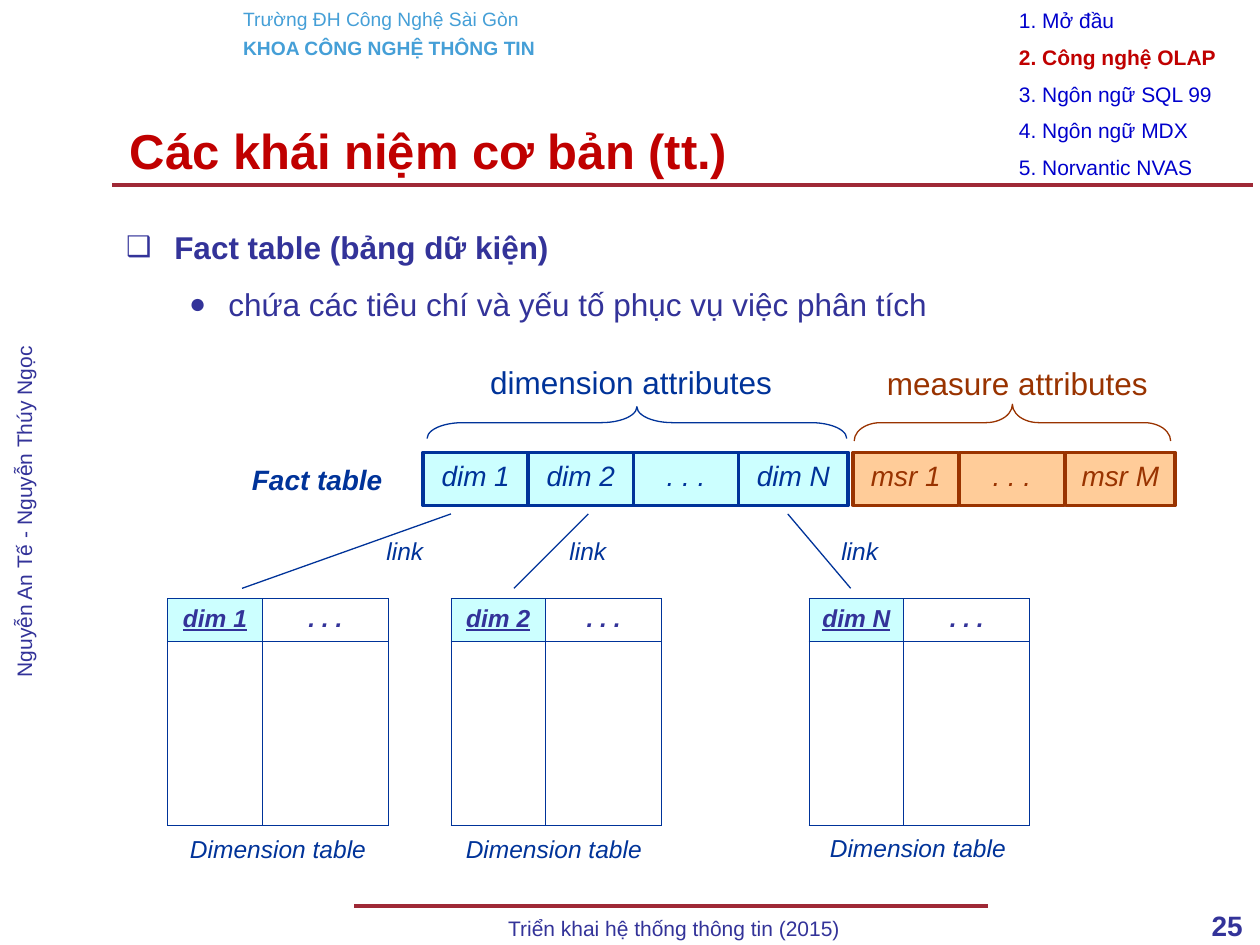
from dataclasses import dataclass

import pptx
import pptx.dml.color
import pptx.enum.shapes
import pptx.enum.text
import pptx.oxml.ns
import pptx.util
from lxml import etree

Cm = pptx.util.Cm
Pt = pptx.util.Pt
Shape = pptx.enum.shapes.MSO_SHAPE
Fit = pptx.enum.text.MSO_AUTO_SIZE
Align = pptx.enum.text.PP_ALIGN
Anchor = pptx.enum.text.MSO_ANCHOR
qn = pptx.oxml.ns.qn


@dataclass(frozen=True)
class Theme:
    font: str = "Arial"
    rule: str = "9F2936"
    school: str = "459FD7"
    ink: str = "333399"
    alert: str = "C00000"
    menu: str = "0000CC"
    dim: str = "003399"
    pale: str = "CCFFFF"
    msr: str = "993300"
    peach: str = "FFCC99"
    tiny: int = 11
    small: int = 12
    label: int = 14
    cell: int = 16
    body: int = 18
    title: int = 28


T = Theme()


def rgb(code):
    return pptx.dml.color.RGBColor.from_string(code)


def style(para, size, color, bold=False, ital=False, under=False, align=Align.LEFT):
    para.alignment = align
    for run in para.runs:
        font = run.font
        font.name, font.size = T.font, Pt(size)
        font.bold, font.italic, font.underline = bold, ital, under
        font.color.rgb = rgb(color)


def place(item, box):
    item.left, item.top, item.width, item.height = map(Cm, box)


def add_text(slide, box, text, size, color, wrap=True, **look):
    item = slide.shapes.add_textbox(*map(Cm, box))
    frame = item.text_frame
    frame.word_wrap = wrap
    frame.auto_size = Fit.NONE
    frame.text = text
    for para in frame.paragraphs:
        style(para, size, color, **look)
    return item


def add_line(slide, start, end, color, width):
    line = slide.shapes.add_connector(
        pptx.enum.shapes.MSO_CONNECTOR.STRAIGHT, *map(Cm, start + end))
    line.line.color.rgb = rgb(color)
    line.line.width = Pt(width)
    etree.SubElement(line._element.spPr, qn("a:effectLst"))


def add_cells(slide, left, step, names, fill, color):
    """A row of boxes, the last one slightly wider."""
    for i, name in enumerate(names):
        wide = 2.21 if i == len(names) - 1 else 2.12
        box = slide.shapes.add_shape(
            Shape.RECTANGLE, Cm(left + i * step), Cm(9.12), Cm(wide), Cm(1.07))
        box.shadow.inherit = False
        box.fill.solid()
        box.fill.fore_color.rgb = rgb(fill)
        box.line.color.rgb = rgb(color)
        box.line.width = Pt(2)
        frame = box.text_frame
        frame.vertical_anchor = Anchor.TOP
        frame.text = name
        style(frame.paragraphs[0], T.cell, color, ital=True, align=Align.CENTER)


def add_brace(slide, box, curve, color):
    brace = slide.shapes.add_shape(Shape.RIGHT_BRACE, *map(Cm, box))
    brace.rotation = 270
    brace.adjustments[0] = curve
    brace.shadow.inherit = False
    brace.fill.background()
    brace.line.color.rgb = rgb(color)
    brace.line.width = Pt(0.75)


def add_edges(cell, color):
    props = cell._tc.get_or_add_tcPr()
    for i, side in enumerate(("lnL", "lnR", "lnT", "lnB")):
        edge = etree.Element(qn("a:" + side), w=str(Pt(0.45)))
        fill = etree.SubElement(edge, qn("a:solidFill"))
        etree.SubElement(fill, qn("a:srgbClr"), val=color)
        props.insert(i, edge)


def add_grid(slide, left, wide, name):
    cols, rows = (1.91, wide), (0.86, 3.71)
    grid = slide.shapes.add_table(
        2, 2, Cm(left), Cm(12.07), Cm(sum(cols)), Cm(sum(rows))).table
    grid.first_row = grid.horz_banding = False
    for i in range(2):
        grid.columns[i].width = Cm(cols[i])
        grid.rows[i].height = Cm(rows[i])
    for cell in grid.iter_cells():
        cell.fill.background()
        add_edges(cell, T.dim)
    for i, text in enumerate((name, ". . .")):
        cell = grid.cell(0, i)
        cell.text = text
        style(cell.text_frame.paragraphs[0], T.label, T.ink, bold=True,
              ital=True, under=i == 0, align=Align.CENTER)
    key = grid.cell(0, 0)
    key.fill.solid()
    key.fill.fore_color.rgb = rgb(T.pale)


def add_mark(para, char, left, hang):
    props = para._p.get_or_add_pPr()
    props.set("marL", str(Cm(left)))
    props.set("indent", str(-Cm(hang)))
    color = etree.SubElement(props, qn("a:buClr"))
    etree.SubElement(color, qn("a:srgbClr"), val=T.ink)
    etree.SubElement(props, qn("a:buSzPct"), val="90000")
    etree.SubElement(props, qn("a:buFont"), typeface=T.font)
    etree.SubElement(props, qn("a:buChar"), char=char)


def fill_holders(slide):
    title, body = slide.shapes.title, slide.placeholders[1]
    place(title, (2.36, 2.13, 17.81, 1.8))
    frame = title.text_frame
    frame.auto_size = Fit.NONE
    frame.vertical_anchor = Anchor.MIDDLE
    frame.text = "Các khái niệm cơ bản (tt.)"
    style(frame.paragraphs[0], T.title, T.alert, bold=True)

    place(body, (2.29, 4.27, 22.81, 13.67))
    frame = body.text_frame
    frame.auto_size = Fit.NONE
    frame.text = "Fact table (bảng dữ kiện)\nchứa các tiêu chí và yếu tố phục vụ việc phân tích"
    head, item = frame.paragraphs
    head.line_spacing = 1.25
    item.level = 1
    item.space_before = Pt(11.2)
    style(head, T.body, T.ink, bold=True)
    style(item, T.body, T.ink)
    add_mark(head, "❑", 0.97, 0.97)
    add_mark(item, "●", 2.06, 0.79)


def add_frame(slide):
    # Rules, school name, author and footer
    add_line(slide, (7.14, 18.26), (19.91, 18.26), T.rule, 2)
    add_line(slide, (2.26, 3.73), (25.25, 3.73), T.rule, 2)
    school = add_text(slide, (4.65, 0.03, 7.11, 1.32),
                      "Trường ĐH Công Nghệ Sài Gòn\nKHOA CÔNG NGHỆ THÔNG TIN",
                      T.tiny, T.school)
    dept = school.text_frame.paragraphs[1]
    dept.space_before = Pt(3.4)
    style(dept, T.tiny, T.school, bold=True)
    side = add_text(slide, (-2.87, 9.68, 7.21, 1.27), "Nguyễn An Tế - Nguyễn Thúy Ngọc",
                    T.small, T.ink, align=Align.CENTER)
    side.rotation = 270
    add_text(slide, (7.29, 18.34, 12.6, 0.66), "Triển khai hệ thống thông tin (2015)",
             T.small, T.ink, align=Align.CENTER)
    add_text(slide, (22.71, 18.19, 2.59, 0.74), "25", T.cell, T.ink,
             bold=True, align=Align.RIGHT)
    # Chapter menu, current chapter in bold
    menu = ("Mở đầu", "Công nghệ OLAP", "Ngôn ngữ SQL 99", "Ngôn ngữ MDX", "Norvantic NVAS")
    for i, name in enumerate(menu):
        now = i == 1
        add_text(slide, (20.29, 0.03 + 0.74 * i, 5, 0.76), f"{i + 1}. {name}",
                 T.small, T.alert if now else T.menu, wrap=False, bold=now)


def add_fact(slide):
    add_text(slide, (4.83, 9.19, 3.12, 0.94), "Fact table", T.cell, T.dim,
             wrap=False, bold=True, ital=True)
    add_cells(slide, 8.53, 2.12, ("dim 1", "dim 2", ". . .", "dim N"), T.pale, T.dim)
    add_cells(slide, 17.2, 2.14, ("msr 1", ". . .", "msr M"), T.peach, T.msr)
    add_brace(slide, (12.52, 4.29, 0.64, 8.46), 1.12, T.dim)
    add_brace(slide, (20.04, 5.33, 0.74, 6.38), 0.72, T.msr)
    add_text(slide, (9.63, 7.19, 6.2, 1.02), "dimension attributes", T.body, T.dim, wrap=False)
    add_text(slide, (17.63, 7.21, 5.77, 1.02), "measure attributes", T.body, T.msr, wrap=False)


def add_dims(slide):
    # name, table left, wide column, caption left and top, link start, end, label
    dims = (
        ("dim 1", 3.38, 2.54, 3.58, 16.69, 9.09, 4.88, 7.54),
        ("dim 2", 9.09, 2.34, 9.14, 16.69, 11.86, 10.36, 11.23),
        ("dim N", 16.31, 2.54, 16.48, 16.66, 15.88, 17.15, 16.71),
    )
    for name, left, wide, cap, top, start, end, tag in dims:
        add_grid(slide, left, wide, name)
        add_line(slide, (start, 10.36), (end, 11.86), T.dim, 0.75)
        add_text(slide, (cap, top, 4.06, 0.86), "Dimension table", T.label, T.dim,
                 wrap=False, ital=True)
        add_text(slide, (tag, 10.69, 1.24, 0.86), "link", T.label, T.dim,
                 wrap=False, ital=True)


def main():
    deck = pptx.Presentation()
    deck.slide_width, deck.slide_height = Cm(25.4), Cm(19.05)
    slide = deck.slides.add_slide(deck.slide_layouts[1])
    fill_holders(slide)
    add_frame(slide)
    add_fact(slide)
    add_dims(slide)
    deck.save("out.pptx")


if __name__ == "__main__":
    main()
